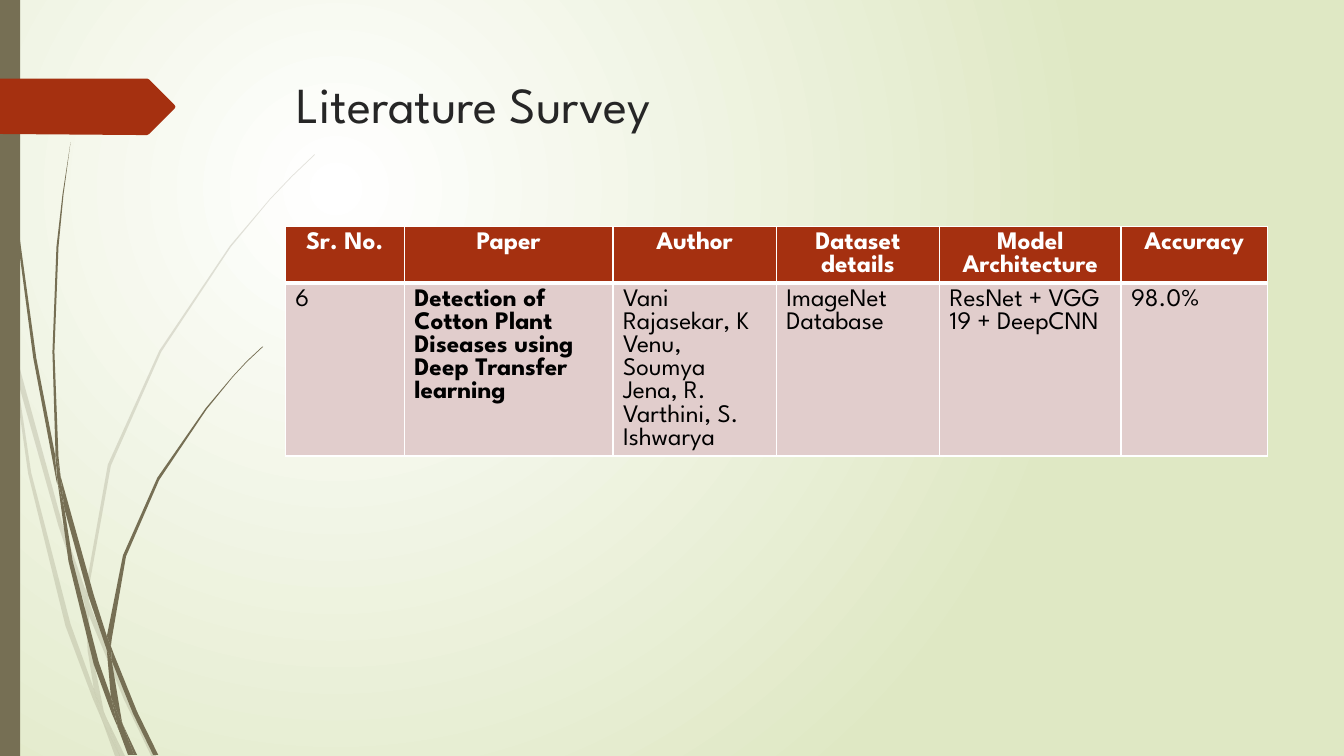
from dataclasses import dataclass

from lxml import etree
from pptx import Presentation
from pptx.dml.color import RGBColor as RGB
from pptx.enum.text import MSO_ANCHOR as ANCHOR, PP_ALIGN as ALIGN
from pptx.enum.shapes import MSO_SHAPE as SHAPE
from pptx.oxml import parse_xml
from pptx.oxml.ns import nsdecls, qn
from pptx.util import Inches, Pt


@dataclass(frozen=True)
class Theme:
    font: str = "League Spartan"
    title_size: int = 36
    table_size: int = 18
    title: str = "262626"
    text: str = "000000"
    white: str = "FFFFFF"
    accent: str = "A53010"
    body: str = "E1CDCC"
    stem: str = "766F54"
    backdrop: str = "DFE8C4"
    pale: int = 20


PALE_STEMS = [
    [(0.11, 3.5), (0.09, 3.22), (0, 2.82), (0, 2.99), (0.1, 3.44)],
    [(0.58, 5.22), (0.84, 5.99), (0.85, 5.86), (0.62, 5.2), (0.14, 3.45), (0.17, 3.76)],
    [(0.92, 6.07), (0.88, 5.96), (0.88, 6.1), (1.23, 6.94), (1.5, 7.5), (1.55, 7.5), (1.27, 6.92)],
    [(1.19, 7.5), (1.24, 7.5), (1.05, 7.11)],
    [(0.93, 6.83), (0.7, 6.19), (0.31, 4.69), (0.17, 3.76), (0.11, 3.5), (0.28, 4.7),
     (0.65, 6.21), (0.92, 6.93), (1.01, 7.14), (0.99, 7.07)],
    [(0.84, 5.99), (0.87, 6.46), (0.93, 6.83), (0.96, 6.92), (1.05, 7.11), (1.03, 7.06),
     (0.91, 6.46), (0.88, 6.1), (0.88, 6.08)],
    [(0.88, 5.84), (1.1, 4.62), (1.6, 3.49), (2.29, 2.45), (2.68, 1.98), (2.9, 1.75), (3.12, 1.54),
     (3.12, 1.53), (2.89, 1.75), (2.68, 1.97), (2.28, 2.44), (1.58, 3.48), (1.07, 4.61),
     (0.85, 5.84), (0.85, 5.86), (0.88, 5.96)],
    [(1.01, 7.14), (1.14, 7.5), (1.19, 7.5)],
    [(0.88, 6.08), (0.88, 6.1), (0.88, 5.96), (0.85, 5.86), (0.84, 5.99)],
    [(0.96, 6.92), (0.93, 6.83), (0.99, 7.07), (1.01, 7.14), (1.19, 7.5), (1.05, 7.11)],
]
DARK_STEMS = [
    [(0.07, 1.1), (0.17, 2.33), (0.33, 3.55), (0.56, 4.77), (0.57, 4.81), (0.55, 4.57), (0.55, 4.53),
     (0.36, 3.55), (0.19, 2.32), (0.08, 1.09), (0.05, 0.48), (0.04, 0), (0.03, 0), (0.04, 0.48)],
    [(0.88, 5.92), (1.06, 6.45), (1.06, 6.33), (1.06, 6.31), (0.93, 5.9), (0.6, 4.72), (0.64, 5.05)],
    [(1.13, 6.49), (1.1, 6.41), (1.11, 6.56), (1.32, 7.08), (1.52, 7.49), (1.57, 7.49), (1.36, 7.06)],
    [(1.1, 6.91), (0.98, 6.57), (0.72, 5.56), (0.64, 5.05), (0.57, 4.77), (0.68, 5.57),
     (0.93, 6.59), (1.11, 7.08), (1.17, 7.22), (1.16, 7.17)],
    [(0.6, 4.72), (0.58, 4.53), (0.54, 3.49), (0.58, 2.45), (0.63, 1.93), (0.7, 1.41),
     (0.62, 1.93), (0.56, 2.45), (0.52, 3.49), (0.55, 4.49)],
    [(1.33, 7.49), (1.36, 7.49), (1.22, 7.19)],
    [(0.57, 4.77), (0.64, 5.05), (0.6, 4.72), (0.55, 4.49), (0.55, 4.53)],
    [(1.11, 6.33), (1.25, 5.52), (1.58, 4.76), (2.05, 4.06), (2.31, 3.74), (2.45, 3.59), (2.61, 3.44),
     (2.6, 3.44), (2.45, 3.58), (2.31, 3.73), (2.04, 4.05), (1.56, 4.74), (1.22, 5.51),
     (1.06, 6.31), (1.1, 6.41)],
    [(1.17, 7.22), (1.27, 7.49), (1.31, 7.49)],
    [(1.06, 6.45), (1.1, 6.91), (1.16, 7.06), (1.22, 7.19), (1.21, 7.16), (1.11, 6.56), (1.09, 6.51)],
    [(1.06, 6.45), (1.09, 6.51), (1.11, 6.56), (1.1, 6.41), (1.06, 6.31), (1.06, 6.33)],
    [(1.16, 7.06), (1.1, 6.91), (1.16, 7.17), (1.17, 7.22), (1.3, 7.49), (1.33, 7.49), (1.22, 7.19)],
]
TAG = [(1.73, 1.08), (1.48, 1.33), (1.46, 1.34), (1.36, 1.34), (0, 1.33), (0, 0.78), (1.36, 0.78),
       (1.46, 0.78), (1.48, 0.79), (1.73, 1.04), (1.74, 1.06)]
COLUMN_WIDTHS = [1.18, 2.07, 1.62, 1.62, 1.8, 1.45]
ROW_HEIGHTS = [0.55, 1.49]
SURVEY = [
    ["Sr. No.", "Paper", "Author", "Dataset details", "Model Architecture", "Accuracy"],
    ["6", "Detection of Cotton Plant Diseases using Deep Transfer learning",
     "Vani Rajasekar, K Venu, Soumya Jena, R. Varthini, S. Ishwarya",
     "ImageNet Database", "ResNet + VGG 19 + DeepCNN", "98.0%"],
]


class SlideBuilder:
    """Draws themed elements on the current slide."""

    def __init__(self, slide, theme):
        self.slide = slide
        self.theme = theme

    def background(self):
        fill = self.slide.background.fill
        fill.gradient()
        for stop, color, position in zip(fill.gradient_stops, (self.theme.white, self.theme.backdrop), (0, 1)):
            stop.color.rgb = RGB.from_string(color)
            stop.position = position
        grad = self.slide.element.xpath(".//p:bg//a:gradFill")[0]
        grad.replace(grad.find(qn("a:lin")), parse_xml(
            f'<a:path {nsdecls("a")} path="circle">'
            '<a:fillToRect l="50000" t="50000" r="100000" b="100000"/></a:path>'))

    def paint(self, sp, color, opacity=100):
        sp.shadow.inherit = False
        sp.fill.solid()
        sp.fill.fore_color.rgb = RGB.from_string(color)
        sp.line.fill.background()
        if opacity < 100:
            clr = sp.element.spPr.find(qn("a:solidFill"))[0]
            etree.SubElement(clr, qn("a:alpha")).set("val", str(opacity * 1000))

    def outline(self, points, color, opacity=100):
        start, *rest = [(Inches(x), Inches(y)) for x, y in points]
        builder = self.slide.shapes.build_freeform(*start)
        builder.add_line_segments(rest, close=True)
        self.paint(builder.convert_to_shape(), color, opacity)

    def rect(self, x, y, w, h, color):
        sp = self.slide.shapes.add_shape(SHAPE.RECTANGLE, Inches(x), Inches(y), Inches(w), Inches(h))
        self.paint(sp, color)

    def style(self, p, size, color, bold=False, align=ALIGN.LEFT):
        p.alignment = align
        p.font.name = self.theme.font
        p.font.size = Pt(size)
        p.font.bold = bold
        p.font.color.rgb = RGB.from_string(color)

    def title(self, text, x, y, w, h):
        sp = self.slide.shapes.title
        sp.left, sp.top, sp.width, sp.height = Inches(x), Inches(y), Inches(w), Inches(h)
        tf = sp.text_frame
        tf.text = text
        tf.vertical_anchor = ANCHOR.TOP
        self.style(tf.paragraphs[0], self.theme.title_size, self.theme.title)

    def borders(self, cell, **widths):
        tcPr = cell._tc.get_or_add_tcPr()
        for i, (side, width) in enumerate(widths.items()):
            tcPr.insert(i, parse_xml(
                f'<a:ln{side} {nsdecls("a")} w="{Pt(width)}"><a:solidFill>'
                f'<a:srgbClr val="{self.theme.white}"/></a:solidFill></a:ln{side}>'))

    def table(self, rows, x, y, widths, heights):
        t = self.theme
        table = self.slide.shapes.add_table(
            len(rows), len(widths), Inches(x), Inches(y),
            Inches(sum(widths)), Inches(sum(heights))).table
        table.horz_banding = False
        for column, width in zip(table.columns, widths):
            column.width = Inches(width)
        for i, (row, height) in enumerate(zip(rows, heights)):
            table.rows[i].height = Inches(height)
            header = i == 0
            for j, text in enumerate(row):
                cell = table.cell(i, j)
                cell.text = text
                cell.fill.solid()
                cell.fill.fore_color.rgb = RGB.from_string(t.accent if header else t.body)
                self.style(cell.text_frame.paragraphs[0], t.table_size,
                           t.white if header else t.text, header or j == 1,
                           ALIGN.CENTER if header else ALIGN.LEFT)
                self.borders(cell, L=1, R=1, T=1 if header else 3, B=3 if header else 1)


def main():
    prs = Presentation()
    prs.slide_width, prs.slide_height = Inches(13.33), Inches(7.5)
    theme = Theme()
    s = SlideBuilder(prs.slides.add_slide(prs.slide_layouts[5]), theme)
    s.background()
    for stem in PALE_STEMS:
        s.outline(stem, theme.stem, theme.pale)
    for stem in DARK_STEMS:
        s.outline(stem, theme.stem)
    s.rect(0, 0, 0.2, 7.5, theme.stem)
    s.outline(TAG, theme.accent)
    s.title("Literature Survey", 2.84, 0.68, 9.75, 1.4)
    s.table(SURVEY, 2.83, 2.25, COLUMN_WIDTHS, ROW_HEIGHTS)
    prs.save("out.pptx")


if __name__ == "__main__":
    main()
